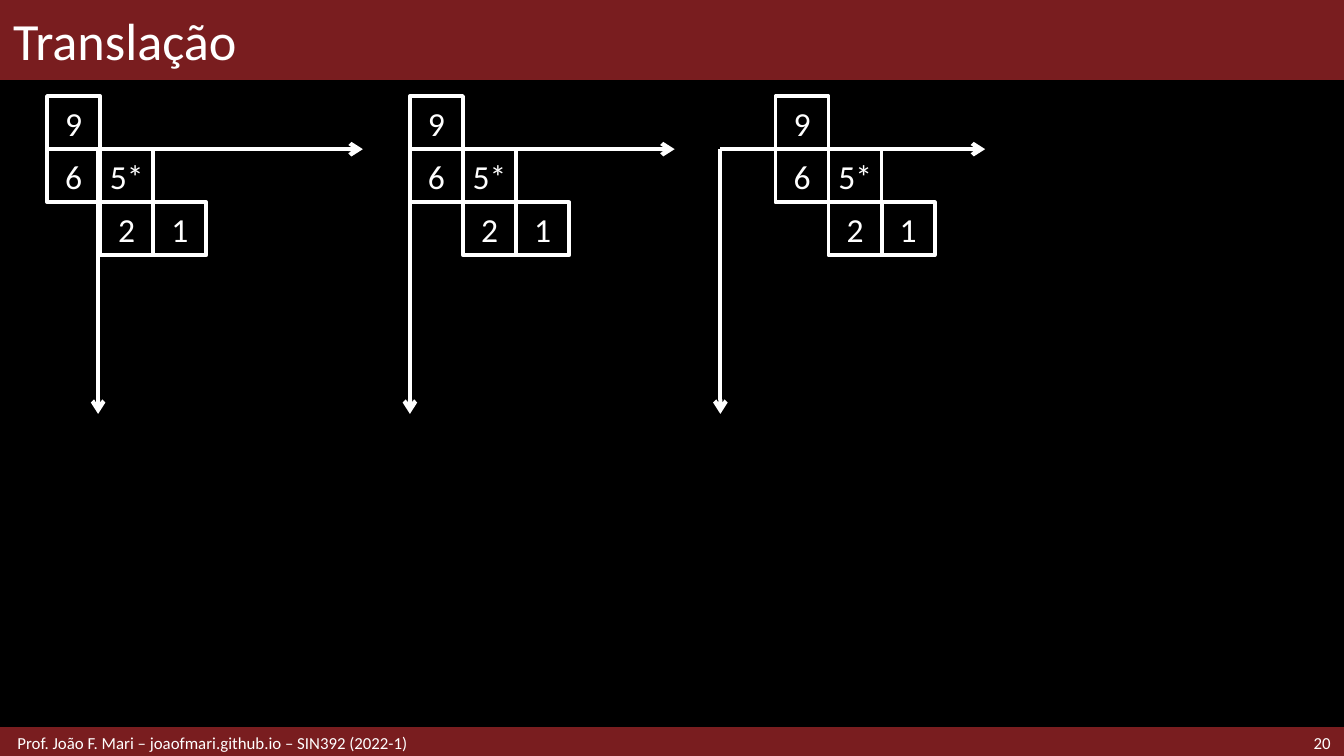
"""Build the slide that shows a pixel mask translated along two axes."""
from lxml import etree
from pptx import Presentation
from pptx.dml.color import RGBColor
from pptx.enum import shapes, text
from pptx.oxml import ns
from pptx.util import Inches, Pt

WHITE = RGBColor(0xFF, 0xFF, 0xFF)
BLACK = RGBColor(0x00, 0x00, 0x00)
MAROON = RGBColor(0x79, 0x1D, 0x1F)
FONT = "Calibri"
WIDTH = 10
HEIGHT = WIDTH * 9 / 16
HEADER_HEIGHT = 0.59
FOOTER_TOP, FOOTER_HEIGHT = 5.42, 0.21
AXIS_TOP, AXIS_LENGTH = 1.11, 1.97
CELL = 0.79 / 2
MASK = [("9", 0, -1), ("6", 0, 0), ("5*", 1, 0), ("2", 1, 1), ("1", 2, 1)]
AXIS_AND_MASK_LEFTS = [(0.73, 0.35), (3.05, 3.05), (5.36, 5.77)]


def write(shape, words, size, align, margin):
    frame = shape.text_frame
    frame.word_wrap = True
    frame.vertical_anchor = text.MSO_ANCHOR.MIDDLE
    frame.margin_left = frame.margin_right = Inches(margin)
    frame.margin_top = frame.margin_bottom = 0
    para = frame.paragraphs[0]
    para.alignment = align
    span = para.add_run()
    span.text = words
    span.font.name = FONT
    span.font.size = Pt(size)
    span.font.color.rgb = WHITE


def add_label(page, place, words, size, align, margin=0.1):
    box = page.shapes.add_textbox(*map(Inches, place))
    write(box, words, size, align, margin)


def add_rectangle(page, place, line_color, line_width, fill_color=None):
    box = page.shapes.add_shape(shapes.MSO_SHAPE.RECTANGLE, *map(Inches, place))
    box.shadow.inherit = False
    if fill_color is None:
        box.fill.background()
    else:
        box.fill.solid()
        box.fill.fore_color.rgb = fill_color
    box.line.color.rgb = line_color
    box.line.width = Pt(line_width)
    return box


def add_axis(page, left, run, rise):
    ends = (left, AXIS_TOP, left + run, AXIS_TOP + rise)
    axis = page.shapes.add_connector(shapes.MSO_CONNECTOR.STRAIGHT, *map(Inches, ends))
    axis.line.color.rgb = WHITE
    axis.line.width = Pt(2.25)
    properties = axis.element.spPr
    etree.SubElement(properties.find(ns.qn("a:ln")), ns.qn("a:tailEnd"), type="arrow")
    etree.SubElement(properties, ns.qn("a:effectLst"))


def add_mask(page, left):
    for value, column, row in MASK:
        place = (left + column * CELL, AXIS_TOP + row * CELL, CELL, CELL)
        cell = add_rectangle(page, place, WHITE, 2)
        write(cell, value, 18, text.PP_ALIGN.CENTER, 0.04)


def main():
    deck = Presentation()
    deck.slide_width, deck.slide_height = Inches(WIDTH), Inches(HEIGHT)
    page = deck.slides.add_slide(deck.slide_layouts[6])
    page.background.fill.solid()
    page.background.fill.fore_color.rgb = BLACK

    header = (0, 0, WIDTH, HEADER_HEIGHT)
    footer = (0, FOOTER_TOP, WIDTH, FOOTER_HEIGHT)
    add_rectangle(page, header, MAROON, 1, MAROON)
    add_rectangle(page, footer, MAROON, 2, MAROON)
    add_label(page, header, "Translação", 28, text.PP_ALIGN.LEFT)
    add_label(page, (8.86, FOOTER_TOP, 1.14, FOOTER_HEIGHT), "20", 9, text.PP_ALIGN.RIGHT)
    add_label(page, (0, FOOTER_TOP, 6.89, FOOTER_HEIGHT),
              "Prof. João F. Mari – joaofmari.github.io – SIN392 (2022-1)",
              9, text.PP_ALIGN.LEFT, 0.13)

    for axis_left, mask_left in AXIS_AND_MASK_LEFTS:
        add_axis(page, axis_left, 0, AXIS_LENGTH)
        add_axis(page, axis_left, AXIS_LENGTH, 0)
        add_mask(page, mask_left)
    deck.save("out.pptx")


if __name__ == "__main__":
    main()
